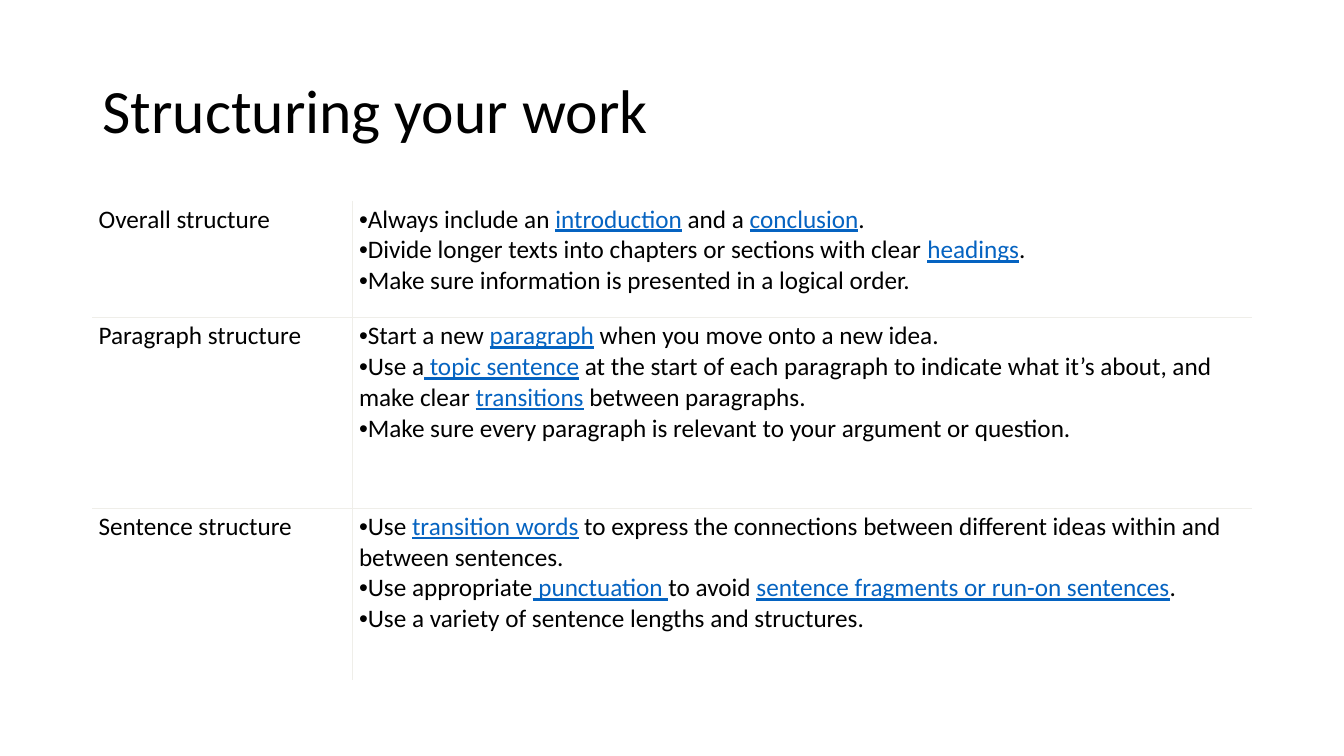
from dataclasses import dataclass

from lxml.etree import SubElement
from pptx import Presentation
from pptx.dml.color import RGBColor
from pptx.enum.text import MSO_ANCHOR, PP_ALIGN
from pptx.oxml.ns import qn
from pptx.table import _Cell as Cell
from pptx.text.text import TextFrame
from pptx.util import Pt

BLACK = RGBColor(0x00, 0x00, 0x00)
WHITE = RGBColor(0xFF, 0xFF, 0xFF)
LINK_BLUE = RGBColor(0x05, 0x63, 0xC1)
BORDER_GREY = RGBColor(0xEF, 0xEE, 0xE9)
FONT = "Calibri"
LINK_MARK = "|"
LEFT, WIDTH = Pt(66), Pt(828)
COLUMN_WIDTHS = (Pt(186), Pt(642))


@dataclass(frozen=True)
class Topic:
    name: str
    height: float
    advice: tuple[str, ...]


TOPICS = (
    Topic("Overall structure", 83.5, (
        "Always include an |introduction| and a |conclusion|.",
        "Divide longer texts into chapters or sections with clear |headings|.",
        "Make sure information is presented in a logical order.",
    )),
    Topic("Paragraph structure", 136, (
        "Start a new |paragraph| when you move onto a new idea.",
        "Use a| topic sentence| at the start of each paragraph to indicate "
        "what it’s about, and make clear |transitions| between paragraphs.",
        "Make sure every paragraph is relevant to your argument or question.",
    )),
    Topic("Sentence structure", 123, (
        "Use |transition words| to express the connections between different "
        "ideas within and between sentences.",
        "Use appropriate| punctuation |to avoid "
        "|sentence fragments or run-on sentences|.",
        "Use a variety of sentence lengths and structures.",
    )),
)


def write_text(frame: TextFrame, *lines: str, size: float = 18,
               bullet: str = "", line_spacing: float = 1.0) -> None:
    for index, line in enumerate(lines):
        para = frame.add_paragraph() if index else frame.paragraphs[0]
        para.alignment = PP_ALIGN.LEFT
        para.line_spacing = line_spacing
        if bullet:
            properties = para._p.get_or_add_pPr()
            properties.set("marL", "0")
            properties.set("indent", "0")
            SubElement(properties, qn("a:buFont"), typeface="Arial")
            SubElement(properties, qn("a:buChar"), char=bullet)
        for part, text in enumerate(line.split(LINK_MARK)):
            is_link = part % 2 == 1
            span = para.add_run()
            span.text = text
            span.font.name = FONT
            span.font.size = Pt(size)
            span.font.underline = is_link
            span.font.color.rgb = LINK_BLUE if is_link else BLACK


def format_cell(cell: Cell, borders: dict[str, bool]) -> None:
    cell.margin_left = cell.margin_right = Pt(4.5)
    cell.margin_top = cell.margin_bottom = Pt(2.25)
    cell.vertical_anchor = MSO_ANCHOR.TOP
    properties = cell._tc.get_or_add_tcPr()
    for side, visible in borders.items():
        line = SubElement(properties, qn(f"a:ln{side}"), w=str(Pt(0.75)))
        if visible:
            fill = SubElement(line, qn("a:solidFill"))
            SubElement(fill, qn("a:srgbClr"), val=str(BORDER_GREY))
        else:
            SubElement(line, qn("a:noFill"))
    cell.fill.solid()
    cell.fill.fore_color.rgb = WHITE


def main() -> None:
    deck = Presentation()
    deck.slide_width, deck.slide_height = Pt(960), Pt(540)
    page = deck.slides.add_slide(deck.slide_layouts[5])

    title = page.shapes.title
    title.left, title.top, title.width, title.height = LEFT, Pt(28.75), WIDTH, Pt(104.4)
    title.text_frame.vertical_anchor = MSO_ANCHOR.MIDDLE
    write_text(title.text_frame, "Structuring your work", size=44, line_spacing=0.9)

    total_height = Pt(sum(topic.height for topic in TOPICS))
    table = page.shapes.add_table(
        len(TOPICS), len(COLUMN_WIDTHS), LEFT, Pt(143.5), WIDTH, total_height).table
    table.first_row = table.horz_banding = False
    for column, width in zip(table.columns, COLUMN_WIDTHS):
        column.width = width

    for row, topic in enumerate(TOPICS):
        table.rows[row].height = Pt(topic.height)
        name_cell, advice_cell = table.rows[row].cells
        for column, cell in enumerate((name_cell, advice_cell)):
            format_cell(cell, {
                "L": column > 0,
                "R": column < len(COLUMN_WIDTHS) - 1,
                "T": row > 0,
                "B": row < len(TOPICS) - 1,
            })
        write_text(name_cell.text_frame, topic.name)
        write_text(advice_cell.text_frame, *topic.advice, bullet="•")

    deck.save("out.pptx")


if __name__ == "__main__":
    main()
